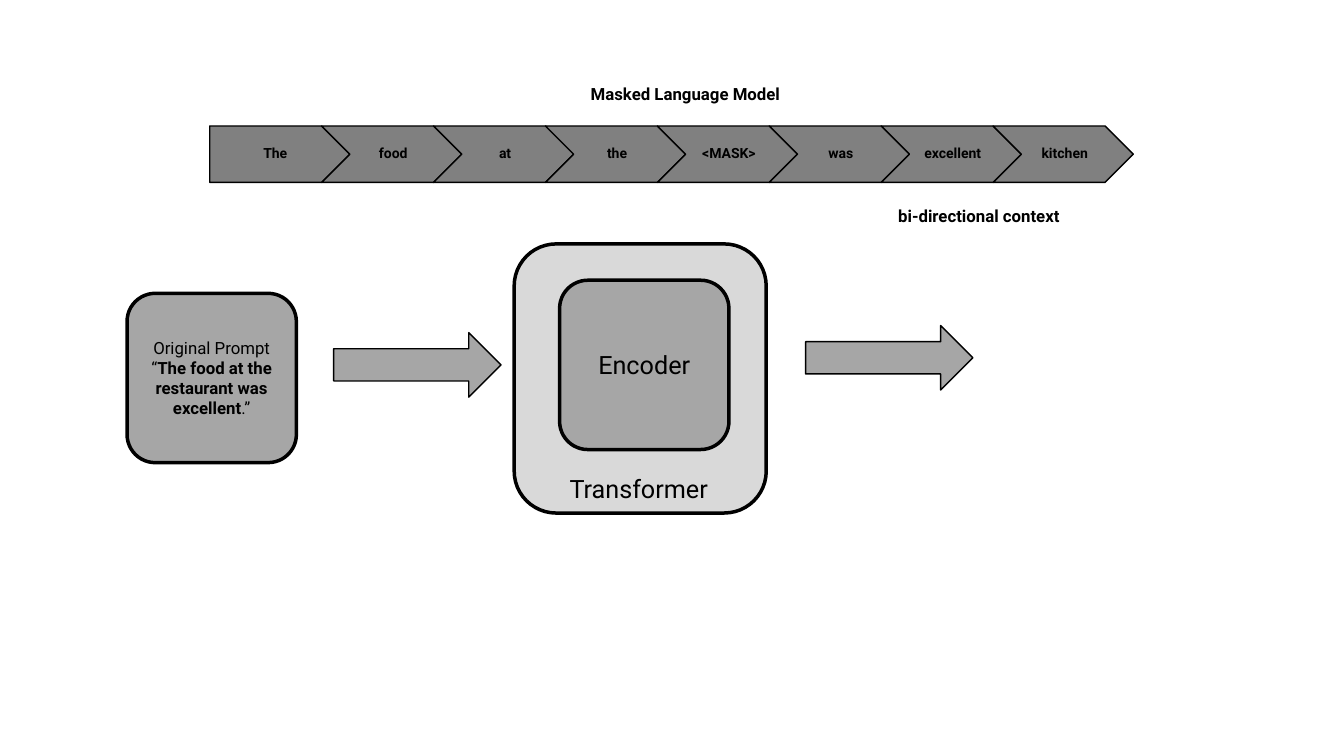
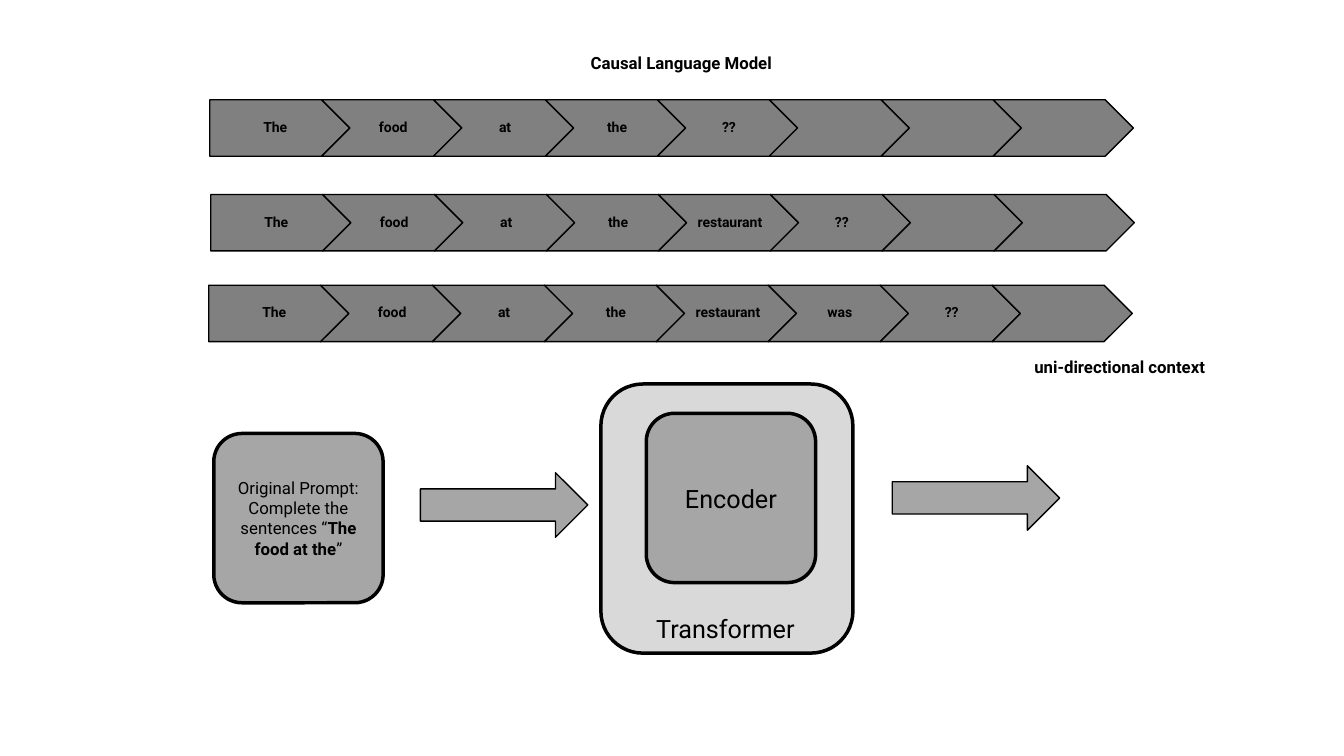
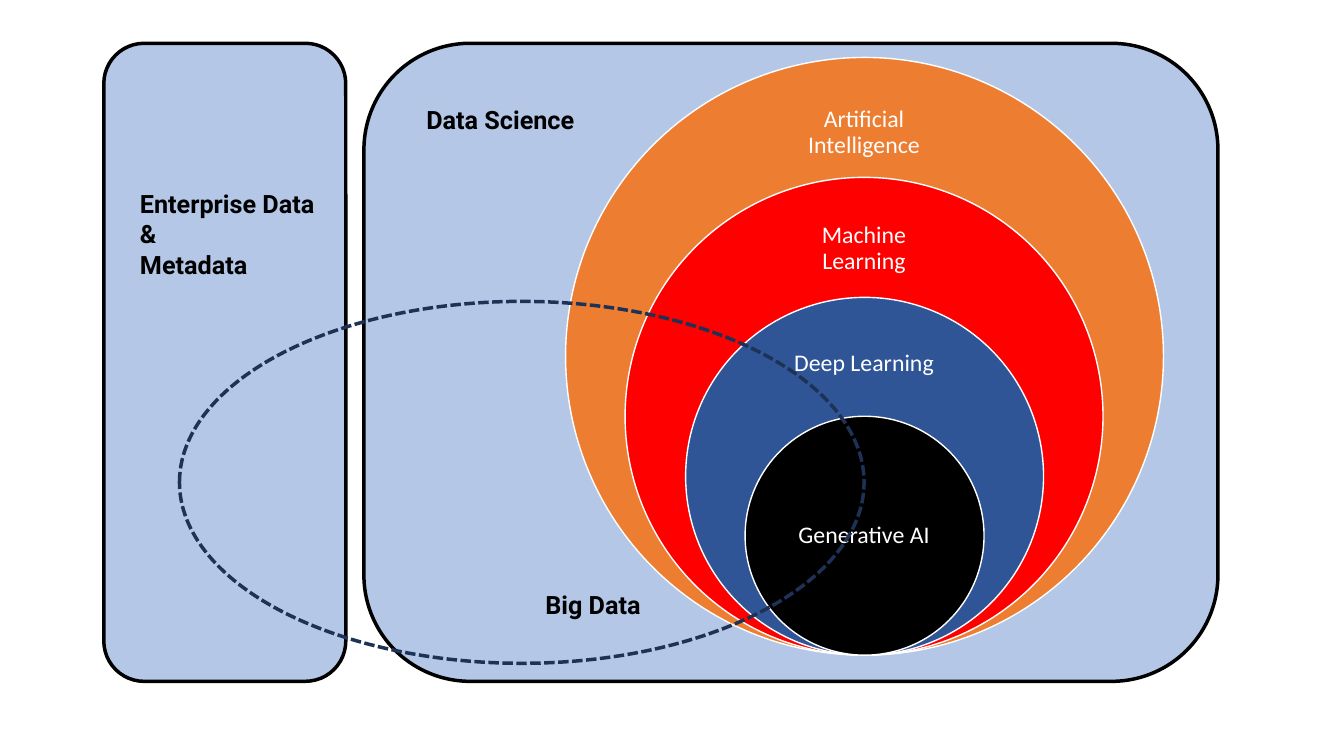
from pptx import Presentation
from pptx.dml.color import RGBColor
from pptx.enum.dml import MSO_LINE
from pptx.enum.shapes import MSO_SHAPE
from pptx.enum.text import MSO_ANCHOR, PP_ALIGN
from pptx.util import Pt

# Shared look: 100 px to the inch
PX = 9144
BLACK = RGBColor(0x00, 0x00, 0x00)
WHITE = RGBColor(0xFF, 0xFF, 0xFF)
LIGHT_GREY = RGBColor(0xD9, 0xD9, 0xD9)
MID_GREY = RGBColor(0xA6, 0xA6, 0xA6)
DARK_GREY = RGBColor(0x80, 0x80, 0x80)
PALE_BLUE = RGBColor(0xB4, 0xC7, 0xE7)
ORANGE = RGBColor(0xED, 0x7D, 0x31)
RED = RGBColor(0xFF, 0x00, 0x00)
BLUE = RGBColor(0x2F, 0x55, 0x97)
NAVY = RGBColor(0x1E, 0x32, 0x56)
THICK, THIN = 2.5, 1


def draw(page, kind, left, top, width, height, fill, line=BLACK, weight=THIN):
    """Add a preset shape, or a text box when kind is None."""
    area = [value * PX for value in (left, top, width, height)]
    if kind is None:
        return page.shapes.add_textbox(*area)
    shape = page.shapes.add_shape(kind, *area)
    shape.shadow.inherit = False
    if fill is None:
        shape.fill.background()
    else:
        shape.fill.solid()
        shape.fill.fore_color.rgb = fill
    shape.line.color.rgb = line
    shape.line.width = Pt(weight)
    return shape


def write(box, lines, size, font="Roboto", color=BLACK, centred=False,
          insets=(10, 5, 10, 5), tight=False):
    """Fill a box; each line is a list of (text, bold) runs."""
    frame = box.text_frame
    frame.word_wrap = True
    frame.vertical_anchor = MSO_ANCHOR.MIDDLE if centred else MSO_ANCHOR.TOP
    (frame.margin_left, frame.margin_top, frame.margin_right,
     frame.margin_bottom) = [value * PX for value in insets]
    for index, runs in enumerate(lines):
        para = frame.add_paragraph() if index else frame.paragraphs[0]
        para.alignment = PP_ALIGN.CENTER if centred else PP_ALIGN.LEFT
        if tight:
            para.line_spacing = 0.9
            para.space_after = Pt(size * 0.35)
        for text, bold in runs:
            span = para.add_run()
            span.text = text
            span.font.name = font
            span.font.size = Pt(size)
            span.font.bold = bold
            span.font.color.rgb = color


deck = Presentation()
deck.slide_width = 1333 * PX
deck.slide_height = 750 * PX
blank = deck.slide_layouts[6]

# Slides 1 and 2: word chains above a transformer diagram
STEP, LINK_WIDTH, LINK_HEIGHT = 111, 139, 56
model_slides = [
    {
        "title": ("Masked Language Model", 576, 78),
        "context": ("bi-directional context", 881, 199),
        "chains": [
            (208, 125, ["The", "food", "at", "the", "<MASK>", "was", "excellent", "kitchen"]),
        ],
        "origin": (510, 242),
        "encoder_drop": 36,
        "prompt": [("Original Prompt “", False),
                   ("The food at the restaurant was excellent", True),
                   (".”", False)],
    },
    {
        "title": ("Causal Language Model", 576, 47),
        "context": ("uni-directional context", 1016, 349),
        "chains": [
            (208, 99, ["The", "food", "at", "the", "??", "", "", ""]),
            (209, 193, ["The", "food", "at", "the", "restaurant", "??", "", ""]),
            (207, 283, ["The", "food", "at", "the", "restaurant", "was", "??", ""]),
        ],
        "origin": (596, 381),
        "encoder_drop": 29,
        "prompt": [("Original Prompt: Complete the sentences “", False),
                   ("The food at the", True),
                   ("”", False)],
    },
]

for model in model_slides:
    page = deck.slides.add_slide(blank)
    left, top = model["origin"]

    # Transformer, encoder, arrows and prompt
    draw(page, MSO_SHAPE.ROUNDED_RECTANGLE, left, top, 250, 267, LIGHT_GREY, weight=THICK)
    encoder = draw(page, MSO_SHAPE.ROUNDED_RECTANGLE, left + 45, top + model["encoder_drop"],
                   168, 168, MID_GREY, weight=THICK)
    write(encoder, [[("Encoder", False)]], 18, centred=True)
    for across, down in [(-179, 88), (289, 81)]:
        draw(page, MSO_SHAPE.RIGHT_ARROW, left + across, top + down, 166, 64, MID_GREY)
    label = draw(page, None, left + 45, top + 223, 222, 40, None)
    write(label, [[("Transformer", False)]], 18)
    prompt = draw(page, MSO_SHAPE.ROUNDED_RECTANGLE, left - 384, top + 49, 168, 168,
                  MID_GREY, weight=THICK)
    write(prompt, [model["prompt"]], 12, centred=True)

    # Word chains
    for chain_left, chain_top, words in model["chains"]:
        for index, word in enumerate(words):
            link_left = chain_left + index * STEP
            kind = MSO_SHAPE.CHEVRON if index else MSO_SHAPE.PENTAGON
            draw(page, kind, link_left, chain_top, LINK_WIDTH, LINK_HEIGHT, DARK_GREY)
            if word:
                indent, width, inset = (28, 83, 4) if index else (0, 125, 6)
                box = draw(page, None, link_left + indent, chain_top, width, LINK_HEIGHT, None)
                write(box, [[(word, True)]], 10, centred=True,
                      insets=(inset, 3, 1, 3), tight=True)

    # Title and context captions
    for text, caption_left, caption_top in (model["title"], model["context"]):
        caption = draw(page, None, caption_left, caption_top, 222, 30, None)
        write(caption, [[(text, True)]], 12)

# Slide 3: nested fields of data science
page = deck.slides.add_slide(blank)
for panel_left, panel_width in [(103, 240), (361, 847)]:
    draw(page, MSO_SHAPE.ROUNDED_RECTANGLE, panel_left, 43, panel_width, 633,
         PALE_BLUE, weight=THICK)

# Circles share a bottom point and shrink by a fifth of the largest
CENTRE, BOTTOM, LARGEST = 857, 650, 593
fields = [
    ("Artificial Intelligence", ORANGE, 87, 89),
    ("Machine Learning", RED, 204, 85),
    ("Deep Learning", BLUE, 321, 80),
    ("Generative AI", BLACK, 472, 119),
]
for index, (name, color, label_top, label_height) in enumerate(fields):
    size = LARGEST * (5 - index) // 5
    draw(page, MSO_SHAPE.OVAL, CENTRE - size // 2, BOTTOM - size, size, size, color, WHITE)
    label = draw(page, None, CENTRE - 83, label_top, 166, label_height, None)
    write(label, [[(name, False)]], 17, "Calibri", WHITE, centred=True,
          insets=(13, 13, 13, 13), tight=True)

# Big data outline and captions
outline = draw(page, MSO_SHAPE.OVAL, 178, 299, 679, 359, None, NAVY, THICK)
outline.line.dash_style = MSO_LINE.SQUARE_DOT
captions = [
    (["Data Science"], 413, 99, 40),
    (["Big Data"], 531, 580, 40),
    (["Enterprise Data", "&", "Metadata"], 129, 182, 101),
]
for lines, caption_left, caption_top, caption_height in captions:
    caption = draw(page, None, caption_left, caption_top, 267, caption_height, None)
    write(caption, [[(line, True)] for line in lines], 18)

deck.save("out.pptx")
